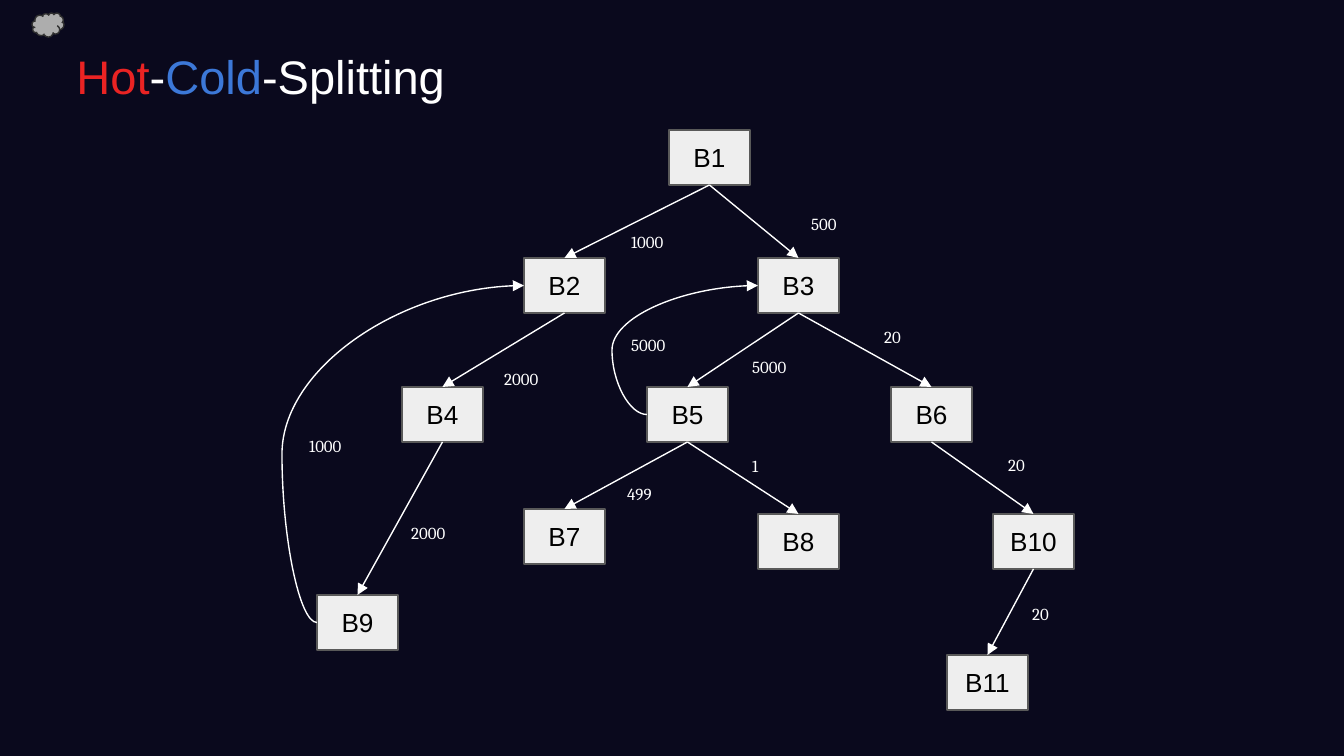
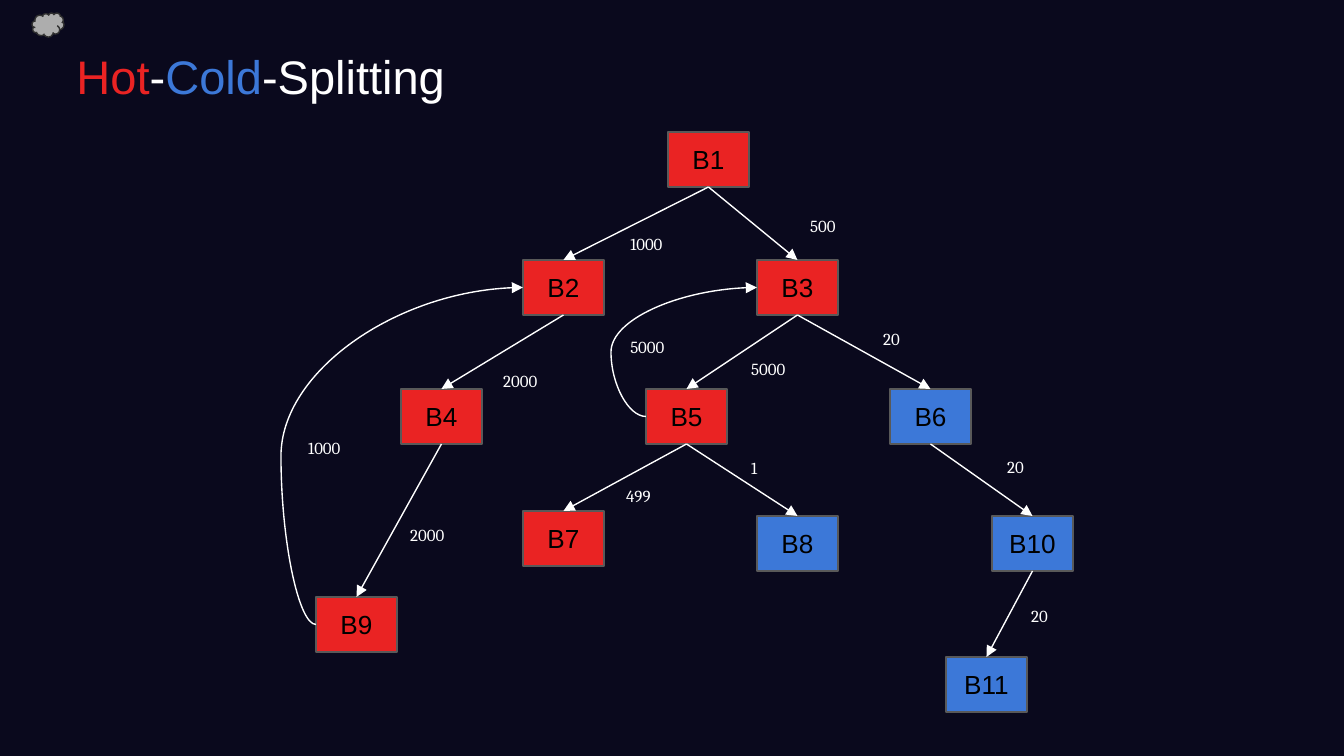
from lxml.etree import SubElement
from pptx import Presentation
from pptx.dml.color import RGBColor as RGB
from pptx.enum.shapes import MSO_CONNECTOR as LINK, MSO_SHAPE as SHAPE
from pptx.enum.text import MSO_ANCHOR as ANCHOR, MSO_AUTO_SIZE as FIT, PP_ALIGN as ALIGN
from pptx.oxml.ns import qn
from pptx.util import Emu, Pt

PX = 914400 / 134.4
COLORS = {
    "night": "0A091D",
    "white": "FFFFFF",
    "black": "000000",
    "hot": "EA2323",
    "cold": "3C78D8",
    "plain": "EEEEEE",
    "border": "595959",
    "cloud": "ADADAD",
    "cloud_edge": "303030",
}
TITLE = [("Hot", "hot"), ("-", "white"), ("Cold", "cold"), ("-Splitting", "white")]
BLOCK_SIZE = (81, 55)
LABEL_SIZE = (77, 44)
LOOP_BULGE = 35
TOP, LEFT, BOTTOM = 0, 1, 2

BLOCKS = {
    "B1": (669, 130),
    "B2": (524, 258),
    "B3": (758, 258),
    "B4": (402, 387),
    "B5": (647, 387),
    "B6": (891, 387),
    "B7": (524, 509),
    "B8": (758, 514),
    "B9": (317, 595),
    "B10": (993, 514),
    "B11": (947, 655),
}
BRANCHES = [
    ("B1", "B2", "1000", (618, 218)),
    ("B1", "B3", "500", (798, 200)),
    ("B3", "B6", "20", (871, 313)),
    ("B3", "B5", "5000", (739, 343)),
    ("B5", "B8", "1", (739, 442)),
    ("B5", "B7", "499", (614, 470)),
    ("B2", "B4", "2000", (491, 355)),
    ("B4", "B9", "2000", (398, 509)),
    ("B6", "B10", "20", (995, 441)),
    ("B10", "B11", "20", (1019, 590)),
]
LOOPS = [
    ("B5", "B3", "5000", (618, 321)),
    ("B9", "B2", "1000", (296, 422)),
]
COLD_BLOCKS = {"B6", "B8", "B10", "B11"}


def px(*lengths):
    return [Emu(round(length * PX)) for length in lengths]


def color(name):
    return RGB.from_string(COLORS[name])


def write_text(frame, runs, size=14, font="Arial", align=ALIGN.LEFT, anchor=ANCHOR.TOP):
    frame.word_wrap = True
    frame.auto_size = FIT.NONE
    frame.vertical_anchor = anchor
    inset = Emu(91440)
    frame.margin_left = frame.margin_right = inset
    frame.margin_top = frame.margin_bottom = inset
    paragraph = frame.paragraphs[0]
    paragraph.alignment = align
    for text, tint in runs:
        run = paragraph.add_run()
        run.text = text
        run.font.size = Pt(size)
        run.font.name = font
        run.font.color.rgb = color(tint)


class Deck:
    def __init__(self):
        self.prs = Presentation()
        self.prs.slide_width, self.prs.slide_height = px(1344, 756)
        backdrop = self.prs.slide_master.background.fill
        backdrop.solid()
        backdrop.fore_color.rgb = color("night")

    def start_slide(self, title_width, shift=(0, 0)):
        self.slide = self.prs.slides.add_slide(self.prs.slide_layouts[5])
        self.shapes = self.slide.shapes
        self.shift = shift
        self.title(title_width)
        self.shape(SHAPE.CLOUD, (32, 13, 32, 24), "cloud", "cloud_edge")

    def title(self, width):
        heading = self.shapes.title
        heading.left, heading.top, heading.width, heading.height = px(63, 34, width, 73)
        write_text(heading.text_frame, TITLE, size=25.2)

    def shape(self, kind, box, fill, edge):
        drawn = self.shapes.add_shape(kind, *px(*box))
        drawn.shadow.inherit = False
        drawn.fill.solid()
        drawn.fill.fore_color.rgb = color(fill)
        drawn.line.color.rgb = color(edge)
        drawn.line.width = Pt(0.75)
        return drawn

    def placed(self, spot, size):
        return spot[0] + self.shift[0], spot[1] + self.shift[1], *size

    def block(self, name, spot, fill):
        drawn = self.shape(SHAPE.RECTANGLE, self.placed(spot, BLOCK_SIZE), fill, "border")
        write_text(drawn.text_frame, [(name, "black")], align=ALIGN.CENTER, anchor=ANCHOR.MIDDLE)
        return drawn

    def label(self, count, spot):
        box = self.shapes.add_textbox(*px(*self.placed(spot, LABEL_SIZE)))
        write_text(box.text_frame, [(count, "white")], size=9, font="Cambria")

    def arrow(self, kind, source, source_side, target, target_side):
        link = self.shapes.add_connector(kind, 0, 0, 0, 0)
        link.begin_connect(source, source_side)
        link.end_connect(target, target_side)
        link.line.color.rgb = color("white")
        link.line.width = Pt(0.75)
        SubElement(link.line._get_or_add_ln(), qn("a:tailEnd"), type="triangle")
        SubElement(link._element.spPr, qn("a:effectLst"))
        return link

    def branch(self, source, target):
        self.arrow(LINK.STRAIGHT, source, BOTTOM, target, TOP)

    def loop(self, source, target):
        link = self.arrow(LINK.CURVE, source, LEFT, target, LEFT)
        properties = link._element.spPr
        frame = properties.find(qn("a:xfrm"))
        frame.attrib.pop("flipV", None)
        frame.set("rot", "10800000")
        frame.set("flipH", "1")
        bend = round(-100000 * LOOP_BULGE * PX / link.width)
        guides = properties.find(qn("a:prstGeom")).get_or_add_avLst()
        SubElement(guides, qn("a:gd"), name="adj1", fmla=f"val {bend}")

    def flow_graph(self, fill_of):
        blocks = {name: self.block(name, spot, fill_of(name)) for name, spot in BLOCKS.items()}
        for connect, edges in ((self.branch, BRANCHES), (self.loop, LOOPS)):
            for source, target, count, spot in edges:
                connect(blocks[source], blocks[target])
                self.label(count, spot)


def main():
    deck = Deck()
    deck.start_slide(430)
    deck.flow_graph(lambda name: "plain")
    deck.start_slide(1243, shift=(-1, 2))
    deck.flow_graph(lambda name: "cold" if name in COLD_BLOCKS else "hot")
    deck.prs.save("out.pptx")


if __name__ == "__main__":
    main()
